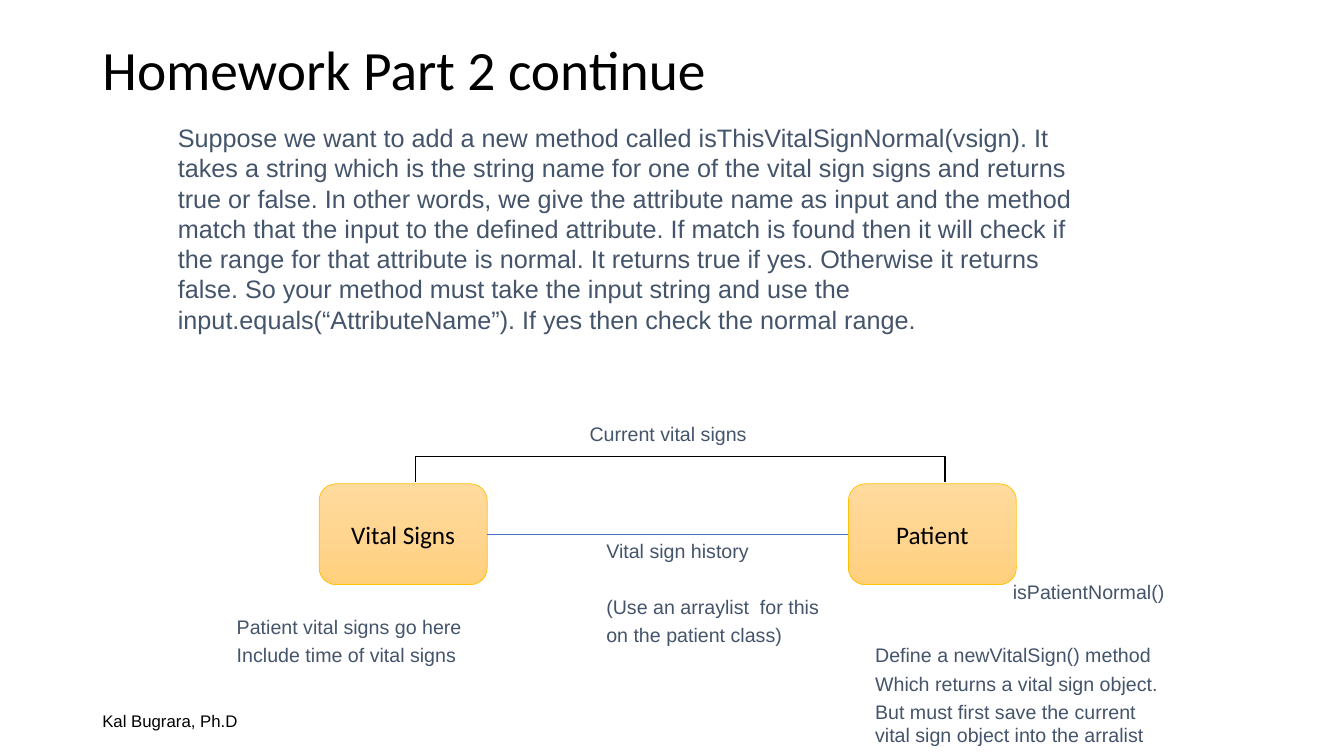
import copy
from dataclasses import dataclass

import pptx
import pptx.dml.color
import pptx.enum.shapes
import pptx.enum.text
import pptx.oxml
import pptx.oxml.ns
import pptx.shapes.base
import pptx.slide
import pptx.text.text
import pptx.util

RGBColor = pptx.dml.color.RGBColor
BLACK = RGBColor(0x00, 0x00, 0x00)
SLATE = RGBColor(0x44, 0x54, 0x6A)
BLUE = RGBColor(0x44, 0x72, 0xC4)
GOLD = RGBColor(0xFF, 0xC0, 0x00)
CLASS_GRADIENT = (
    (0.0, RGBColor(0xFF, 0xDB, 0x9E)),
    (0.5, RGBColor(0xFF, 0xD5, 0x90)),
    (1.0, RGBColor(0xFF, 0xD0, 0x7C)),
)

# The slide is a grid of 160 columns by 90 rows
SLIDE_WIDTH, SLIDE_HEIGHT = pptx.util.Inches(13.333), pptx.util.Inches(7.5)
COLUMNS, ROWS = 160, 90
CLASS_TOP, CLASS_WIDTH, CLASS_HEIGHT = 57.6, 20, 12
LINE_GAP = 3.3

INSTRUCTIONS = (
    "Suppose we want to add a new method called isThisVitalSignNormal(vsign). "
    "It takes a string which is the string name for one of the vital sign signs "
    "and returns true or false. In other words, we give the attribute name as "
    "input and the method match that the input to the defined attribute. If match "
    "is found then it will check if the range for that attribute is normal. It "
    "returns true if yes. Otherwise it returns false. So your method must take the "
    "input string and use the input.equals(“AttributeName”). If yes then check "
    "the normal range."
)


@dataclass(frozen=True)
class Area:
    column: float
    row: float
    width: float
    height: float


@dataclass(frozen=True)
class Note:
    area: Area
    lines: tuple[str, ...]
    size: float = 14
    color: RGBColor = SLATE
    wrap: bool = False
    middle: bool = False
    gap_before: int = 0  # index of the line set apart from those above it


@dataclass(frozen=True)
class ClassBox:
    name: str
    column: float


NOTES = (
    Note(Area(11, 83.4, 36, 4.8), ("Kal Bugrara, Ph.D",), 12, BLACK, True, True),
    Note(Area(20, 14, 112, 39.7), (INSTRUCTIONS,), 18, wrap=True),
    Note(Area(119.4, 68.5, 20.6, 4.1), ("isPatientNormal()",)),
    Note(Area(27, 72.6, 29.9, 7.4),
         ("Patient vital signs go here", "Include time of vital signs")),
    Note(Area(69, 49.6, 21.2, 4.1), ("Current vital signs",)),
    Note(Area(71, 63.6, 28.6, 14.3),
         ("Vital sign history", "(Use an arraylist  for this", "on the patient class)"),
         gap_before=1),
    Note(Area(103, 76, 37, 13.7),
         ("Define a newVitalSign() method", "Which returns a vital sign object.",
          "But must first save the current vital sign object into the arralist"),
         wrap=True),
)
VITAL_SIGNS = ClassBox("Vital Signs", 38)
PATIENT = ClassBox("Patient", 101)


def across(columns: float) -> int:
    return round(SLIDE_WIDTH * columns / COLUMNS)


def down(rows: float) -> int:
    return round(SLIDE_HEIGHT * rows / ROWS)


def bounds(area: Area) -> tuple[int, int, int, int]:
    return across(area.column), down(area.row), across(area.width), down(area.height)


def format_runs(paragraph: pptx.text.text._Paragraph, font: str, size: float,
                color: RGBColor) -> None:
    for run in paragraph.runs:
        run.font.name = font
        run.font.size = pptx.util.Pt(size)
        run.font.color.rgb = color


def write_title(slide: pptx.slide.Slide, text: str, area: Area) -> None:
    title = slide.shapes.title
    title.left, title.top, title.width, title.height = bounds(area)
    frame = title.text_frame
    frame.text = text
    frame.auto_size = pptx.enum.text.MSO_AUTO_SIZE.NONE
    frame.vertical_anchor = pptx.enum.text.MSO_ANCHOR.MIDDLE
    heading = frame.paragraphs[0]
    heading.alignment = pptx.enum.text.PP_ALIGN.LEFT
    heading.line_spacing = 0.9
    format_runs(heading, "Calibri", 39.6, BLACK)


def draw_note(slide: pptx.slide.Slide, note: Note) -> None:
    frame = slide.shapes.add_textbox(*bounds(note.area)).text_frame
    frame.text = "\n".join(note.lines)
    frame.word_wrap = note.wrap
    if note.middle:
        frame.vertical_anchor = pptx.enum.text.MSO_ANCHOR.MIDDLE
    else:
        frame.auto_size = pptx.enum.text.MSO_AUTO_SIZE.SHAPE_TO_FIT_TEXT
    for index, line in enumerate(frame.paragraphs):
        if index:
            set_apart = index == note.gap_before
            line.space_before = pptx.util.Pt(23 if set_apart else LINE_GAP)
        format_runs(line, "Arial", note.size, note.color)


def draw_class(slide: pptx.slide.Slide, box: ClassBox) -> None:
    area = Area(box.column, CLASS_TOP, CLASS_WIDTH, CLASS_HEIGHT)
    card = slide.shapes.add_shape(
        pptx.enum.shapes.MSO_SHAPE.ROUNDED_RECTANGLE, *bounds(area))
    card.shadow.inherit = False
    card.line.color.rgb = GOLD
    card.line.width = pptx.util.Pt(0.5)
    card.fill.gradient()
    card.fill.gradient_angle = 270
    # A new gradient has two stops: add the third
    stop_list = card._element.spPr.find(".//" + pptx.oxml.ns.qn("a:gsLst"))
    stop_list.append(copy.deepcopy(stop_list[0]))
    for stop, (position, color) in zip(card.fill.gradient_stops, CLASS_GRADIENT):
        stop.position = position
        stop.color.rgb = color
    frame = card.text_frame
    frame.text = box.name
    frame.vertical_anchor = pptx.enum.text.MSO_ANCHOR.MIDDLE
    frame.paragraphs[0].alignment = pptx.enum.text.PP_ALIGN.CENTER
    format_runs(frame.paragraphs[0], "Calibri", 18, BLACK)


def draw_history_link(slide: pptx.slide.Slide, start: ClassBox, end: ClassBox) -> None:
    row = down(CLASS_TOP + CLASS_HEIGHT / 2)
    link = slide.shapes.add_connector(
        pptx.enum.shapes.MSO_CONNECTOR.STRAIGHT,
        across(start.column + CLASS_WIDTH), row, across(end.column), row)
    link.line.color.rgb = BLUE
    link.line.width = pptx.util.Pt(1)
    link._element.spPr.append(pptx.oxml.parse_xml(
        f'<a:effectLst {pptx.oxml.ns.nsdecls("a")}/>'))


def draw_current_bracket(slide: pptx.slide.Slide, start: ClassBox, end: ClassBox) -> None:
    left, right = (across(box.column + 11.5) for box in (start, end))
    foot, top = down(CLASS_TOP - 0.2), down(CLASS_TOP - 3.2)
    outline = slide.shapes.build_freeform(right, foot)
    outline.add_line_segments([(right, top), (left, top), (left, foot)], close=False)
    bracket = outline.convert_to_shape()
    bracket.shadow.inherit = False
    bracket.fill.background()
    bracket.line.color.rgb = BLACK
    bracket.line.width = pptx.util.Pt(0.75)


def main() -> None:
    deck = pptx.Presentation()
    deck.slide_width, deck.slide_height = SLIDE_WIDTH, SLIDE_HEIGHT
    slide = deck.slides.add_slide(deck.slide_layouts.get_by_name("Title Only"))

    write_title(slide, "Homework Part 2 continue", Area(11, 4.8, 138, 7.7))

    # Class diagram
    for box in (VITAL_SIGNS, PATIENT):
        draw_class(slide, box)
    draw_history_link(slide, VITAL_SIGNS, PATIENT)
    draw_current_bracket(slide, VITAL_SIGNS, PATIENT)

    # Instructions, labels and author
    for note in NOTES:
        draw_note(slide, note)

    deck.save("out.pptx")


if __name__ == "__main__":
    main()
